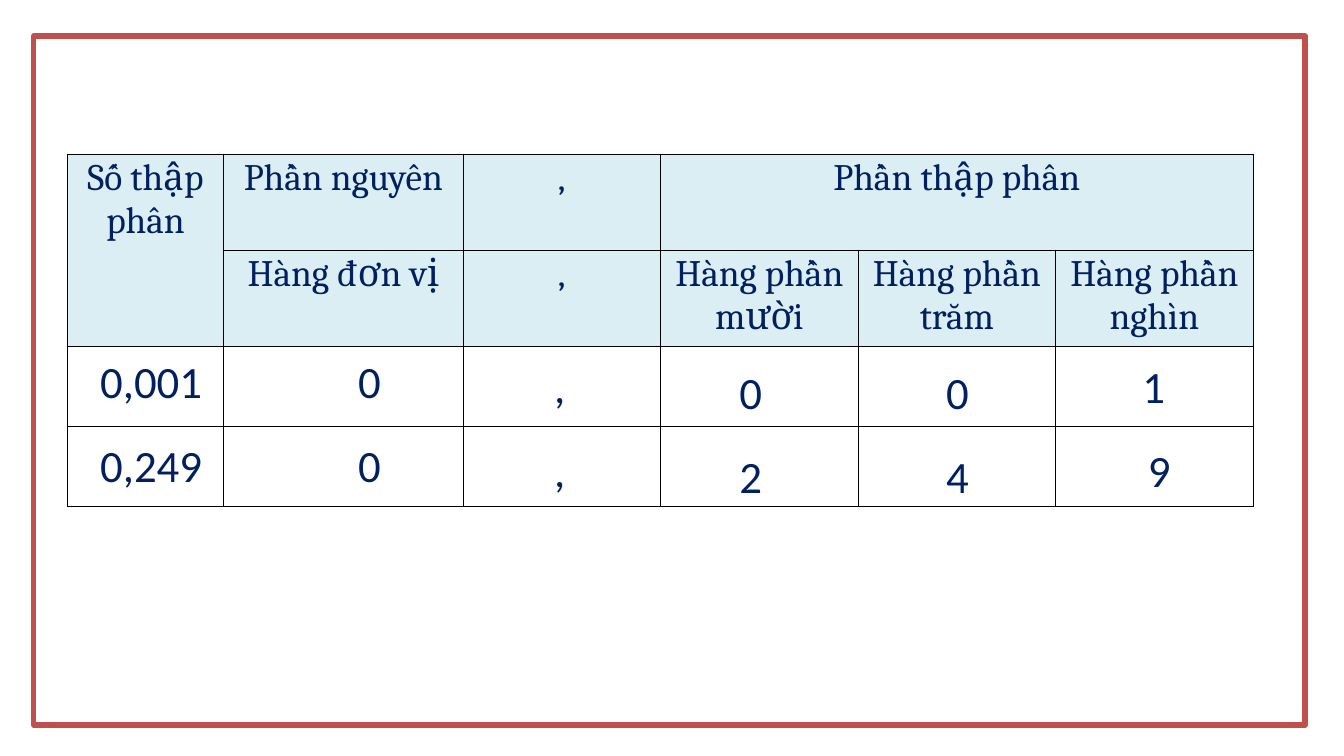
from pptx import Presentation
from pptx.dml.color import RGBColor
from pptx.enum.shapes import MSO_SHAPE
from pptx.enum.text import MSO_AUTO_SIZE, PP_ALIGN
from pptx.oxml import parse_xml
from pptx.oxml.ns import nsdecls
from pptx.util import Inches, Pt

NAVY = RGBColor(0x00, 0x20, 0x60)
PALE = RGBColor(0xDB, 0xEE, 0xF4)
WHITE = RGBColor(0xFF, 0xFF, 0xFF)
RED = RGBColor(0xC0, 0x50, 0x4D)

WIDTHS = [2.33, 3.56] + [2.94] * 4
HEIGHTS = [1.43, 1.43, 1.19, 1.19]
HEADS = [
    ["Số thập phân", "Phần nguyên", ",", "Phần thập phân", "", ""],
    ["", "Hàng đơn vị", ",", "Hàng phần mười", "Hàng phần trăm", "Hàng phần nghìn"],
]

# Digits of each number, with the place of each column's box
DIGITS = [["0,001", "0", ",", "0", "0", "1"],
          ["0,249", "0", ",", "2", "4", "9"]]
LEFTS = [[0.75, 4, 6.83, 9.67, 12.75, 15.67],
         [0.75, 4, 6.83, 9.67, 12.75, 15.75]]
TOPS = [5.21, 5.21, 5.29, 5.38, 5.38, 5.29]
STEP = 1.25


def write(frame, text, font, size):
    para = frame.paragraphs[0]
    para.text = text
    para.alignment = PP_ALIGN.CENTER
    para.font.name = font
    para.font.size = Pt(size)
    para.font.color.rgb = NAVY


def add_frame(slide):
    box = slide.shapes.add_shape(MSO_SHAPE.RECTANGLE, Inches(0.5), Inches(0.54),
                                 Inches(18.92), Inches(10.25))
    box.shadow.inherit = False
    box.fill.solid()
    box.fill.fore_color.rgb = WHITE
    box.line.color.rgb = RED
    box.line.width = Pt(6)


def style_cell(cell, color):
    props = cell._tc.get_or_add_tcPr()
    for side in ("lnL", "lnR", "lnT", "lnB"):
        props.append(parse_xml(
            f'<a:{side} {nsdecls("a")} w="{Pt(1)}"><a:solidFill>'
            f'<a:srgbClr val="000000"/></a:solidFill></a:{side}>'))
    cell.fill.solid()
    cell.fill.fore_color.rgb = color


def add_grid(slide):
    table = slide.shapes.add_table(
        len(HEIGHTS), len(WIDTHS), Inches(1), Inches(2.29),
        Inches(sum(WIDTHS)), Inches(sum(HEIGHTS))).table
    table.first_row = False
    table.horz_banding = False
    for col, width in zip(table.columns, WIDTHS):
        col.width = Inches(width)
    for row, height in zip(table.rows, HEIGHTS):
        row.height = Inches(height)

    # Shaded heading rows above white rows
    for r, row in enumerate(table.rows):
        for cell in row.cells:
            style_cell(cell, PALE if r < len(HEADS) else WHITE)
    table.cell(0, 0).merge(table.cell(1, 0))
    table.cell(0, 3).merge(table.cell(0, 5))
    for r, heads in enumerate(HEADS):
        for c, text in enumerate(heads):
            if text:
                write(table.cell(r, c).text_frame, text, "Cambria", 40)


def add_digit(slide, text, left, top):
    box = slide.shapes.add_textbox(Inches(left), Inches(top), Inches(3), Inches(0.91))
    frame = box.text_frame
    frame.word_wrap = True
    frame.auto_size = MSO_AUTO_SIZE.SHAPE_TO_FIT_TEXT
    write(frame, text, "Calibri", 48)


def main():
    deck = Presentation()
    deck.slide_width = Inches(20)
    deck.slide_height = Inches(11.25)
    slide = deck.slides.add_slide(deck.slide_layouts[6])

    # Border and place value table
    add_frame(slide)
    add_grid(slide)

    # Digits over the white rows
    for r, (texts, lefts) in enumerate(zip(DIGITS, LEFTS)):
        for text, left, top in zip(texts, lefts, TOPS):
            add_digit(slide, text, left, top + r * STEP)

    deck.save("out.pptx")


if __name__ == "__main__":
    main()
